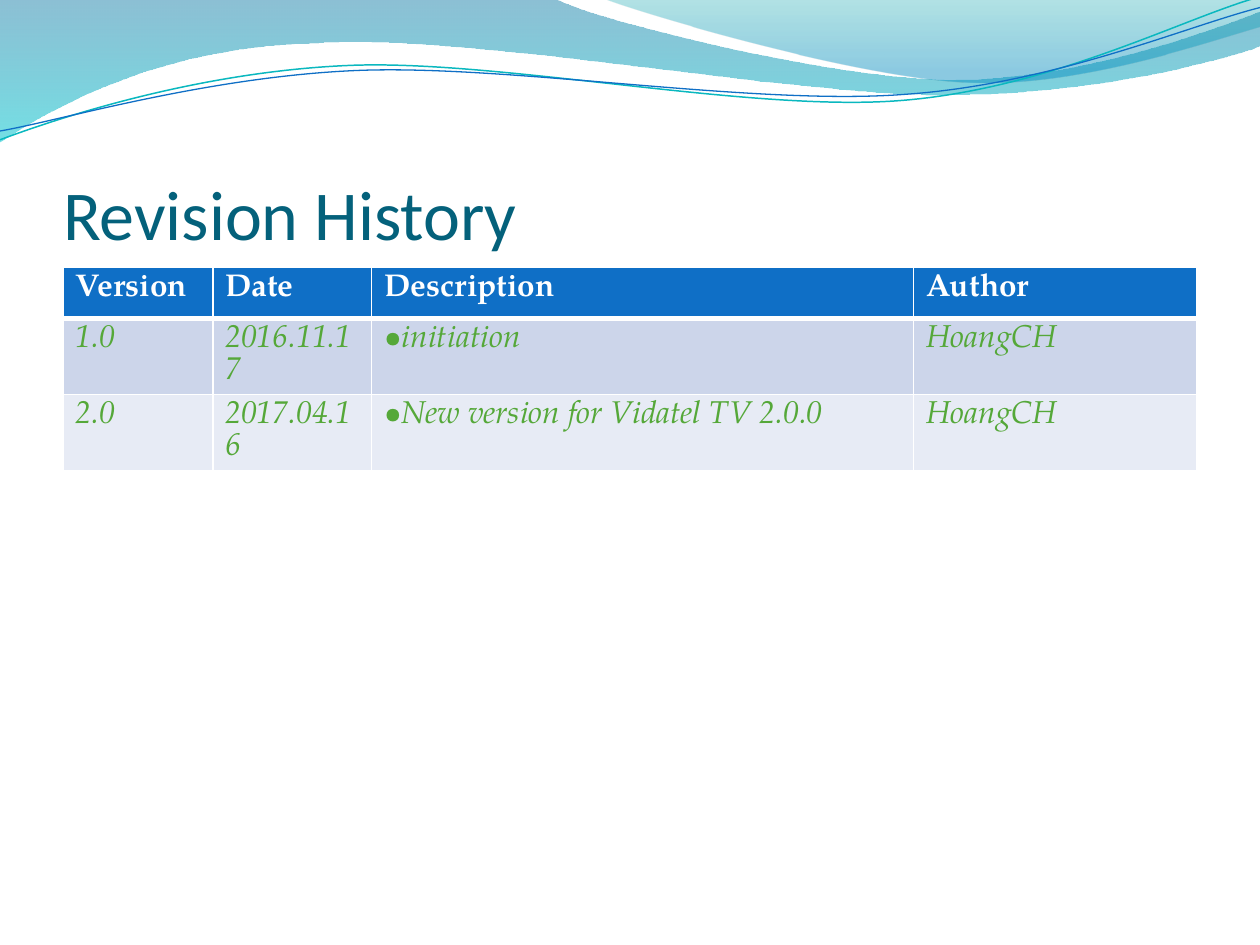
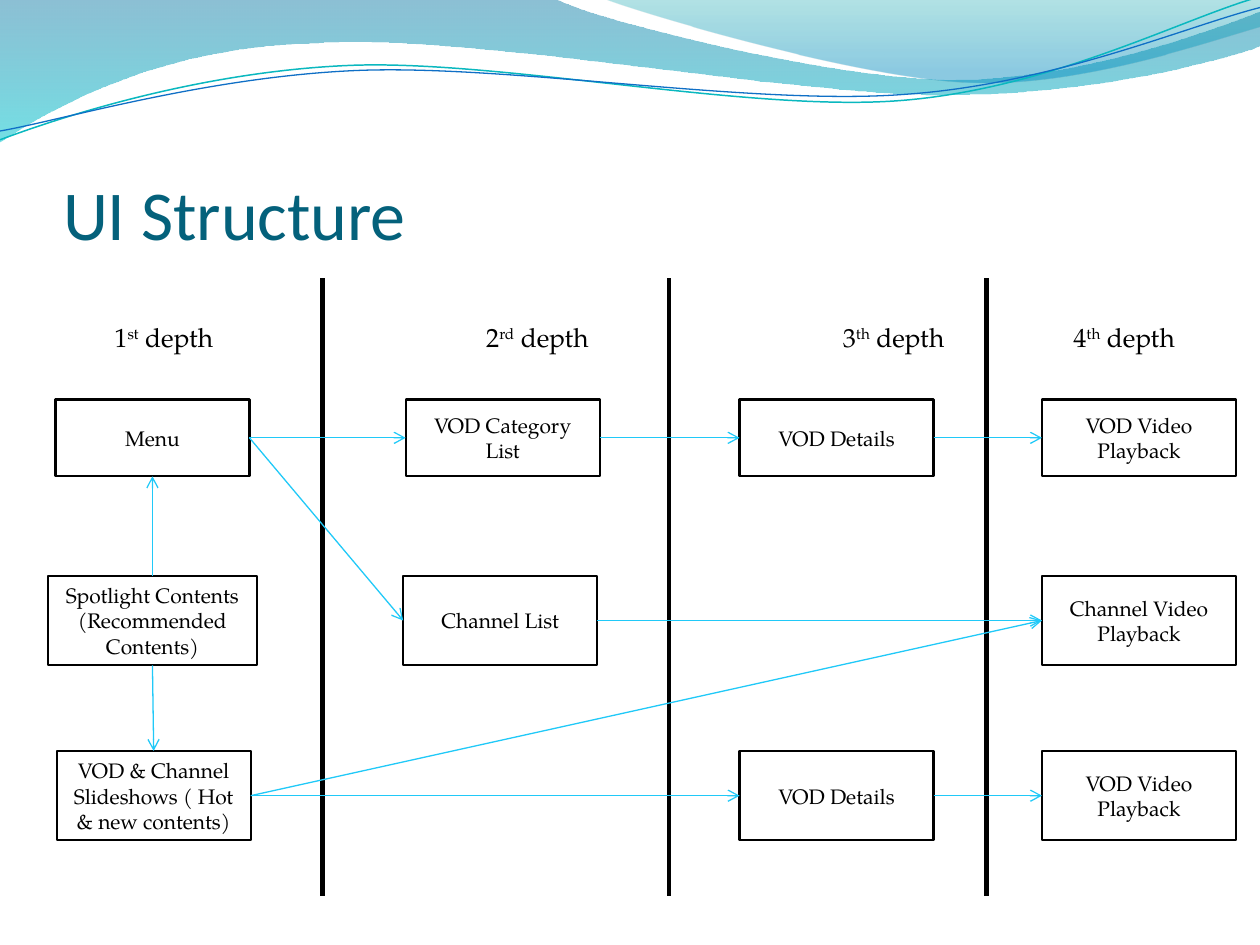
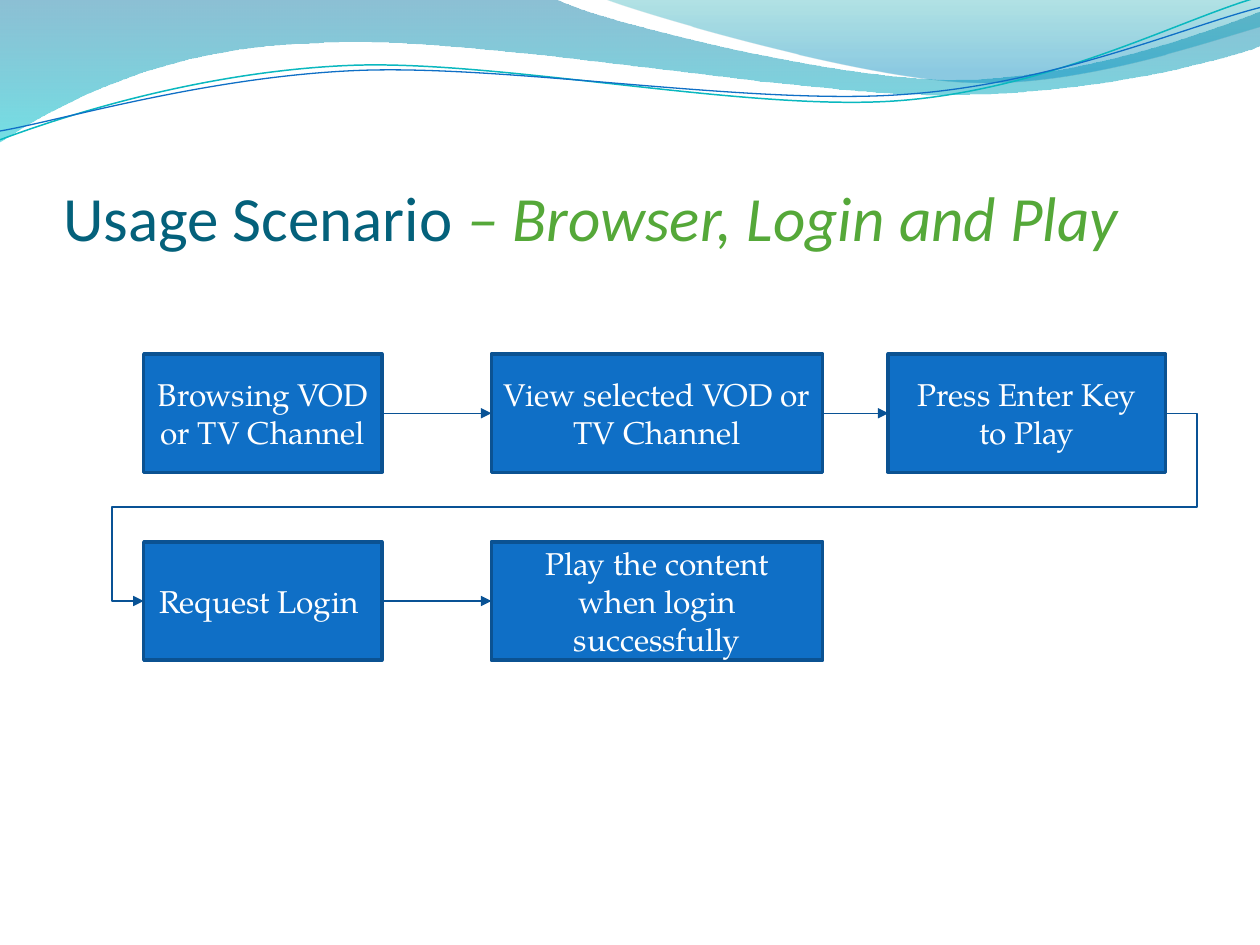
from lxml import etree
from pptx import Presentation
from pptx.dml.color import RGBColor
from pptx.enum.shapes import MSO_CONNECTOR, MSO_SHAPE
from pptx.enum.text import MSO_ANCHOR, MSO_AUTO_SIZE, PP_ALIGN
from pptx.oxml.ns import qn
from pptx.util import Inches, Pt

STRAIGHT, ELBOW = MSO_CONNECTOR.STRAIGHT, MSO_CONNECTOR.ELBOW
RECTANGLE = MSO_SHAPE.RECTANGLE
BOTTOM, MIDDLE = MSO_ANCHOR.BOTTOM, MSO_ANCHOR.MIDDLE
LEFT, CENTER = PP_ALIGN.LEFT, PP_ALIGN.CENTER

TITLE_FONT, BODY_FONT = "Calibri", "TeX Gyre Pagella"
BLACK = RGBColor(0x00, 0x00, 0x00)
WHITE = RGBColor(0xFF, 0xFF, 0xFF)
TITLE_TEAL = RGBColor(0x04, 0x61, 0x7B)
GREEN = RGBColor(0x55, 0xA8, 0x39)
BLUE = RGBColor(0x0F, 0x6F, 0xC6)
STEP_EDGE = RGBColor(0x0B, 0x52, 0x92)
STEP_ARROW = RGBColor(0x09, 0x52, 0x95)
SKY = RGBColor(0x20, 0xC9, 0xF8)
CYAN = RGBColor(0x0A, 0xB8, 0xBF)
ROW_FILLS = [RGBColor(0xCC, 0xD5, 0xEA), RGBColor(0xE7, 0xEB, 0xF5)]

# Connection sites of a rectangle
TOP_SITE, LEFT_SITE, BOTTOM_SITE, RIGHT_SITE = range(4)

# Outlines: a start point, then line ends (x, y) or cubic curves (three points, flat)
# Gradient stops: position, colour, opacity in percent
WAVE_FILLS = [
    ([(0, 0), (4.4, -0.01), (4.76, 0.17, 6.64, 0.63, 7.58, 0.63),
      (8.53, 0.63, 9.58, 0.26, 10, 0.09), (10.01, 0.36),
      (9.83, 0.44, 8.7, 0.76, 7.46, 0.75), (6.22, 0.75, 3.82, 0.28, 2.57, 0.34),
      (1.29, 0.36, 0.46, 0.83, -0.01, 1.13), (0, 0)],
     [(0, RGBColor(0x00, 0x74, 0xA1), 45), (1, RGBColor(0x00, 0xC6, 0xCF), 55)]),
    ([(4.79, -0.01), (5.09, 0.11, 6.82, 0.62, 7.69, 0.65),
      (8.56, 0.69, 9.61, 0.32, 10, 0.21), (10, 0), (4.79, -0.01)],
     [(0, RGBColor(0x00, 0xA1, 0xA9), 30), (0.8, RGBColor(0x00, 0x8B, 0xBF), 45)]),
]
WAVE_LINES = [
    ([(0, 1.11), (0.48, 0.93, 1.58, 0.57, 2.77, 0.52),
      (3.95, 0.47, 5.93, 0.89, 7.13, 0.8), (8.33, 0.71, 9.38, 0.15, 9.98, -0.02)],
     CYAN, 0.85),
    ([(0, 1.04), (0.47, 0.96, 1.64, 0.61, 2.83, 0.56),
      (4.03, 0.51, 5.97, 0.84, 7.17, 0.75), (8.36, 0.67, 9.41, 0.21, 10, 0.06)],
     BLUE, 0.75),
]

REVISIONS = [
    ("Version", "Date", "Description", "Author"),
    ("1.0", "2016.11.17", "initiation", "HoangCH"),
    ("2.0", "2017.04.16", "New version for Vidatel TV 2.0.0", "HoangCH"),
]
REVISION_WIDTHS = [1.19, 1.26, 4.3, 2.25]
BULLET_COLUMN = 2

DEPTHS = [(0.81, "1", "st"), (3.76, "2", "rd"), (6.59, "3", "th"), (8.42, "4", "th")]
DIVIDERS = [2.56, 5.31, 7.83]
SCREEN_ROWS = [(3.17, 0.61), (4.57, 0.71), (5.96, 0.71)]  # top, height
SCREEN_WIDTH, SPOTLIGHT_WIDTH = 1.54, 1.66
SCREENS = {  # name: text, left, row
    "menu": ("Menu", 0.44, 0),
    "categories": ("VOD Category List", 3.22, 0),
    "details": ("VOD Details", 5.87, 0),
    "playback": ("VOD Video Playback", 8.27, 0),
    "spotlight": ("Spotlight Contents (Recommended Contents)", 0.38, 1),
    "channels": ("Channel List", 3.2, 1),
    "channel playback": ("Channel Video Playback", 8.27, 1),
    "slideshows": ("VOD & Channel Slideshows ( Hot & new contents)", 0.45, 2),
    "hot details": ("VOD Details", 5.87, 2),
    "hot playback": ("VOD Video Playback", 8.27, 2),
}
SIDEWAYS_LINKS = [
    ("menu", "categories"), ("categories", "details"), ("details", "playback"),
    ("menu", "channels"), ("channels", "channel playback"),
    ("slideshows", "channel playback"), ("hot details", "hot playback"),
]

STEP_COLUMNS = [(1.14, 1.89), (3.9, 2.63), (7.05, 2.2)]  # left, width
STEP_TOPS, STEP_HEIGHT = [2.81, 4.3], 0.94
STEPS = [
    ["Browsing VOD or TV Channel", "View selected VOD or TV Channel",
     "Press Enter Key to Play"],
    ["Request Login ", "Play the content when login successfully"],
]
RETURN_ADJUSTMENTS = [-3100, 50000, 103100]


def add_outline(page, outline, close):
    """Add a freeform through all points, then join each curve's three points."""
    points = [(Inches(part[i]), Inches(part[i + 1]))
              for part in outline for i in range(0, len(part), 2)]
    builder = page.shapes.build_freeform(*points[0])
    builder.add_line_segments(points[1:], close=close)
    shape = builder.convert_to_shape()
    shape.shadow.inherit = False
    segments = iter(list(shape.element.iter(qn("a:lnTo"))))
    for part in outline[1:]:
        segment = next(segments)
        if len(part) == 6:
            segment.tag = qn("a:cubicBezTo")
            for extra in (next(segments), next(segments)):
                segment.append(extra[0])
                extra.getparent().remove(extra)
    return shape


def add_waves(page, layout):
    """Draw the top waves with the page's shape builder and move them to the layout."""
    waves = []
    for outline, stops in WAVE_FILLS:
        wave = add_outline(page, outline, close=True)
        wave.line.fill.background()
        wave.fill.gradient()
        wave.fill.gradient_angle = 270
        for stop, (position, color, opacity) in zip(wave.fill.gradient_stops, stops):
            stop.position = position
            stop.color.rgb = color
        colors = list(wave.element.spPr.iter(qn("a:srgbClr")))
        for node, (position, color, opacity) in zip(colors, stops):
            etree.SubElement(node, qn("a:alpha")).set("val", str(opacity * 1000))
        waves.append(wave)
    for outline, color, width in WAVE_LINES:
        wave = add_outline(page, outline, close=False)
        wave.fill.background()
        wave.line.color.rgb = color
        wave.line.width = Pt(width)
        waves.append(wave)
    for place, wave in enumerate(waves, start=2):
        layout.shapes.element.insert(place, wave.element)


def style_font(font, size, color, name=BODY_FONT):
    font.name = name
    font.size = Pt(size)
    font.color.rgb = color


def add_page(deck, layout, title, size=40, subtitle=""):
    page = deck.slides.add_slide(layout)
    box = page.shapes.title
    box.left, box.top, box.width, box.height = map(Inches, (0.5, 0.77, 9, 1.25))
    frame = box.text_frame
    frame.text = title
    frame.auto_size = MSO_AUTO_SIZE.NONE
    frame.vertical_anchor = BOTTOM
    frame.margin_left = frame.margin_right = frame.margin_bottom = 0
    frame.margin_top = Inches(0.05)
    para = frame.paragraphs[0]
    para.alignment = LEFT
    style_font(para.runs[0].font, size, TITLE_TEAL, TITLE_FONT)
    if subtitle:
        span = para.add_run()
        span.text = subtitle
        style_font(span.font, size, GREEN, TITLE_FONT)
        span.font.italic = True
    return page


def add_box(page, text, left, top, width, height, size, color, edge, edge_width, fill=None):
    box = page.shapes.add_shape(RECTANGLE, *map(Inches, (left, top, width, height)))
    box.shadow.inherit = False
    if fill is None:
        box.fill.background()
    else:
        box.fill.solid()
        box.fill.fore_color.rgb = fill
    box.line.color.rgb = edge
    box.line.width = Pt(edge_width)
    frame = box.text_frame
    frame.text = text
    frame.vertical_anchor = MIDDLE
    para = frame.paragraphs[0]
    para.alignment = CENTER
    style_font(para.runs[0].font, size, color)
    return box


def style_line(line, color, width, head=None):
    line.line.color.rgb = color
    line.line.width = Pt(width)
    properties = line.element.spPr
    if head:
        etree.SubElement(properties.find(qn("a:ln")), qn("a:tailEnd")).set("type", head)
    etree.SubElement(properties, qn("a:effectLst"))


def link(page, source, target, color, head, sites=(RIGHT_SITE, LEFT_SITE), kind=STRAIGHT):
    arrow = page.shapes.add_connector(kind, 0, 0, 0, 0)
    arrow.begin_connect(source, sites[0])
    arrow.end_connect(target, sites[1])
    style_line(arrow, color, 0.75, head)
    return arrow


def add_bullet(para):
    properties = para._p.get_or_add_pPr()
    properties.set("marL", "0")
    properties.set("indent", "0")
    etree.SubElement(properties, qn("a:buFont")).set("typeface", BODY_FONT)
    etree.SubElement(properties, qn("a:buChar")).set("char", "•")


def add_borders(cell, widths):
    """Draw white cell borders; widths maps a side (L, R, T, B) to points."""
    properties = cell._tc.get_or_add_tcPr()
    for side, width in widths.items():
        line = etree.SubElement(properties, qn(f"a:ln{side}"))
        line.set("w", str(Pt(width)))
        fill = etree.SubElement(line, qn("a:solidFill"))
        etree.SubElement(fill, qn("a:srgbClr")).set("val", str(WHITE))


def fill_revision_history(page):
    table = page.shapes.add_table(len(REVISIONS), len(REVISION_WIDTHS),
                                  *map(Inches, (0.5, 2.12, 9, 1.22))).table
    for column, width in zip(table.columns, REVISION_WIDTHS):
        column.width = Inches(width)
    for row, values in enumerate(REVISIONS):
        header = row == 0
        for column, value in enumerate(values):
            cell = table.cell(row, column)
            cell.text = value
            add_borders(cell, {"L": 1, "R": 1, "T": 3 if row == 1 else 1,
                               "B": 3 if header else 1})
            cell.fill.solid()
            cell.fill.fore_color.rgb = BLUE if header else ROW_FILLS[row - 1]
            para = cell.text_frame.paragraphs[0]
            if column == BULLET_COLUMN and not header:
                add_bullet(para)
            font = para.runs[0].font
            style_font(font, 18, WHITE if header else GREEN)
            font.bold = header
            font.italic = not header


def fill_ui_structure(page):
    for left in DIVIDERS:
        divider = page.shapes.add_connector(
            STRAIGHT, *map(Inches, (left, 2.21, left, 7.11)))
        style_line(divider, BLACK, 2.5)

    for left, number, suffix in DEPTHS:
        label = page.shapes.add_textbox(*map(Inches, (left, 2.5, 1.02, 0.35)))
        label.text_frame.word_wrap = False
        para = label.text_frame.paragraphs[0]
        for part in (number, suffix, " depth"):
            span = para.add_run()
            span.text = part
            style_font(span.font, 15, BLACK)
        para.runs[1]._r.get_or_add_rPr().set("baseline", "30000")

    boxes = {}
    for name, (text, left, row) in SCREENS.items():
        top, height = SCREEN_ROWS[row]
        width = SPOTLIGHT_WIDTH if name == "spotlight" else SCREEN_WIDTH
        boxes[name] = add_box(page, text, left, top, width, height,
                              12, BLACK, BLACK, 1.25)
    for source, target in SIDEWAYS_LINKS:
        link(page, boxes[source], boxes[target], SKY, "arrow")
    link(page, boxes["slideshows"], boxes["hot details"], SKY, "arrow", kind=ELBOW)
    link(page, boxes["spotlight"], boxes["menu"], SKY, "arrow", (TOP_SITE, BOTTOM_SITE))
    link(page, boxes["spotlight"], boxes["slideshows"], SKY, "arrow",
         (BOTTOM_SITE, TOP_SITE))


def fill_usage_scenario(page):
    rows = [[add_box(page, text, left, top, width, STEP_HEIGHT, 18, WHITE, STEP_EDGE, 2, BLUE)
             for text, (left, width) in zip(texts, STEP_COLUMNS)]
            for texts, top in zip(STEPS, STEP_TOPS)]
    for boxes in rows:
        for source, target in zip(boxes, boxes[1:]):
            link(page, source, target, STEP_ARROW, "triangle")

    turn = link(page, rows[0][-1], rows[1][0], STEP_ARROW, "triangle", kind=ELBOW)
    geometry = turn.element.spPr.find(qn("a:prstGeom"))
    geometry.set("prst", "bentConnector5")
    values = geometry.find(qn("a:avLst"))
    for number, amount in enumerate(RETURN_ADJUSTMENTS, start=1):
        guide = etree.SubElement(values, qn("a:gd"))
        guide.set("name", f"adj{number}")
        guide.set("fmla", f"val {amount}")


def main():
    deck = Presentation()
    deck.slide_width, deck.slide_height = Inches(10), Inches(7.5)
    layout = deck.slide_layouts.get_by_name("Title Only")

    history = add_page(deck, layout, "Revision History")
    add_waves(history, layout)
    fill_revision_history(history)
    fill_ui_structure(add_page(deck, layout, "UI Structure"))
    fill_usage_scenario(add_page(deck, layout, "Usage Scenario", 36,
                                 " – Browser, Login and Play"))
    deck.save("out.pptx")


if __name__ == "__main__":
    main()
